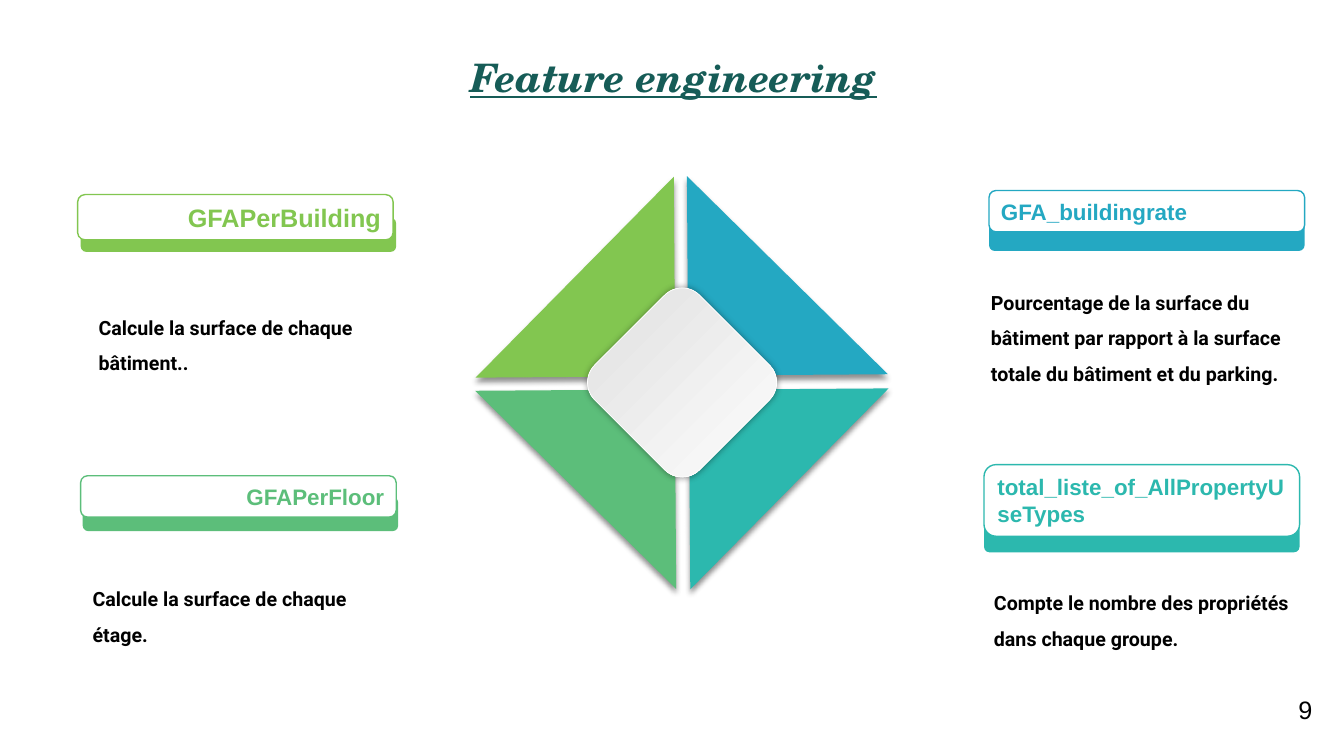
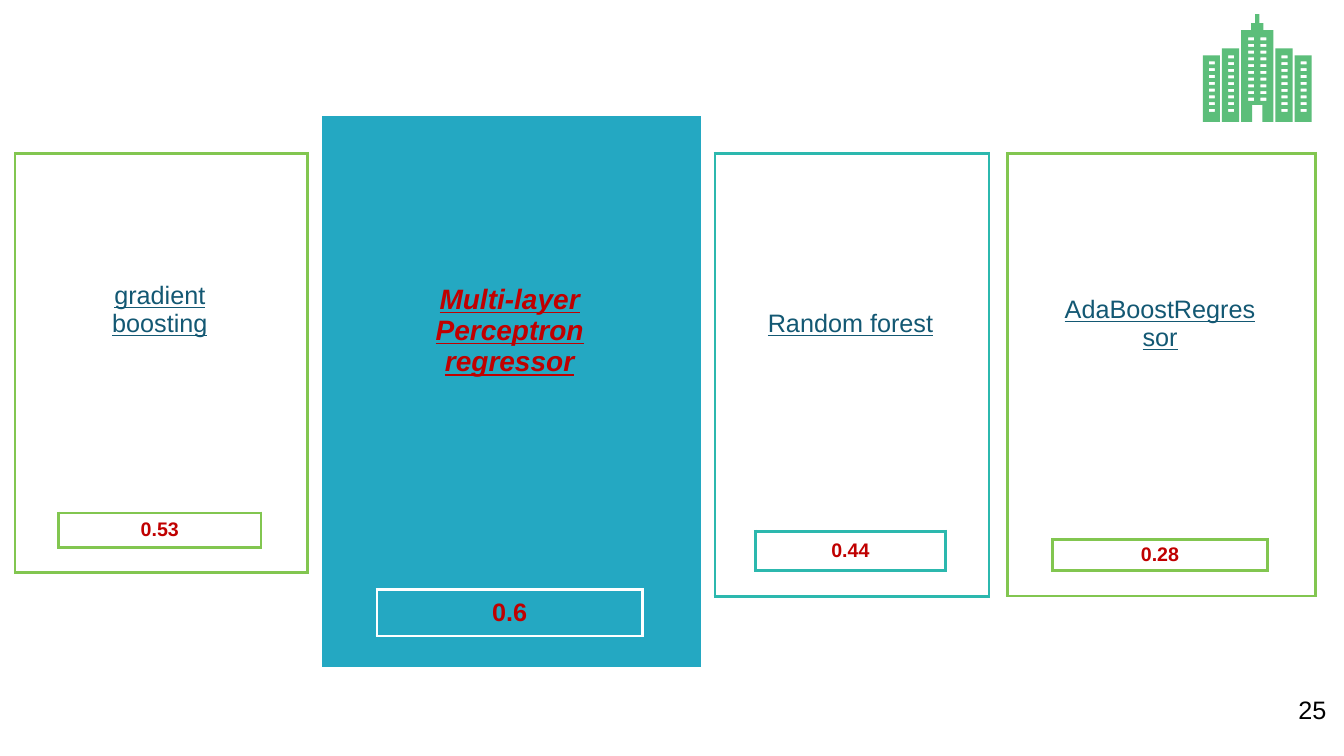
"""Build the feature engineering and model score slides."""
from dataclasses import dataclass

from lxml.etree import SubElement
from pptx import Presentation
from pptx.dml.color import RGBColor
from pptx.enum.shapes import MSO_SHAPE as SHAPE
from pptx.enum.text import MSO_ANCHOR as ANCHOR, PP_ALIGN as ALIGN
from pptx.oxml.ns import qn
from pptx.util import Inches, Pt

COLORS = {
    "title": "165C57", "teal": "2CB8AE", "blue": "24A8C2", "lime": "82C650",
    "green": "5CBE7A", "navy": "135873", "red": "C00000", "white": "FFFFFF",
    "black": "000000", "silver": "DEDEDE",
}
TITLE = {"size": Pt(28), "name": "TeX Gyre Schola", "bold": True, "italic": True, "underline": True}
LABEL = {"name": "Arial", "bold": True}
NOTE = {"size": Pt(14), "name": "Roboto", "bold": True}
PAGE = {"size": Pt(18), "name": "Arial"}
MODEL = {"size": Pt(18), "name": "Arial", "underline": True}
BEST = {"size": Pt(20), "name": "Arial", "bold": True, "italic": True, "underline": True}

CARD_W, BAR_H = 3.13, 0.34
SCORE_ROW, MID_COL = 5, 1


@dataclass
class Feature:
    name: str
    note: str
    color: str
    label: tuple[float, float, float]
    bar: tuple[float, float]
    note_at: tuple[float, float]
    note_h: float
    size: int = 16
    align: int = ALIGN.LEFT


@dataclass
class Piece:
    left: float
    top: float
    turn: float
    color: str


@dataclass
class Model:
    name: str
    score: str
    left: float
    top: float
    cols: list[float]
    rows: list[float]
    edge: str
    name_row: int = 2
    nudge: float = 0
    fill: str = "white"
    edge_pt: float = 2.25
    name_color: str = "navy"
    score_pt: int = 14
    best: bool = False


@dataclass
class Tower:
    left: float
    top: float
    window_cols: list[float]
    first: float
    last: float
    count: int


FEATURES = [
    Feature("GFAPerBuilding", "Calcule la surface de chaque bâtiment..", "lime",
            (0.77, 1.93, 0.45), (0.8, 2.16), (0.88, 2.97), 0.76, 18, ALIGN.RIGHT),
    Feature("GFAPerFloor", "Calcule la surface de chaque étage.", "green",
            (0.8, 4.72, 0.41), (0.82, 4.93), (0.82, 5.66), 0.76, 16, ALIGN.RIGHT),
    Feature("GFA_buildingrate",
            "Pourcentage de la surface du bâtiment par rapport à la surface "
            "totale du bâtiment et du parking.", "blue",
            (9.81, 1.89, 0.41), (9.81, 2.15), (9.73, 2.72), 1.47),
    Feature("total_liste_of_AllPropertyUseTypes",
            "Compte le nombre des propriétés dans chaque groupe.", "teal",
            (9.76, 4.61, 0.71), (9.76, 5.14), (9.76, 5.7), 1.12),
]
PIECES = [
    Piece(6.84, 3.86, 89.6, "teal"),
    Piece(6.82, 1.74, 359.6, "blue"),
    Piece(4.71, 1.76, 269.6, "lime"),
    Piece(4.72, 3.87, 179.6, "green"),
]
MODELS = [
    Model("gradient boosting", "0.53", 0.15, 1.52, [0.43, 2.01, 0.46],
          [0.88, 0.29, 1.05, 1.11, 0.24, 0.34, 0.25], "lime", nudge=-0.14),
    Model("Multi-layer Perceptron regressor", "0.6", 3.18, 1.14, [0.56, 2.63, 0.59],
          [1.2, 0.4, 1.06, 1.69, 0.34, 0.46, 0.32], "white", fill="blue",
          edge_pt=1.5, name_color="red", score_pt=18, best=True),
    Model("Random forest", "0.44", 7.09, 1.52, [0.4, 1.89, 0.43],
          [1.03, 0.34, 0.83, 1.29, 0.26, 0.39, 0.26], "teal", nudge=-0.09),
    Model("AdaBoostRegressor", "0.28", 9.99, 1.52, [0.45, 2.13, 0.48],
          [0.78, 1.27, 0.56, 0.97, 0.25, 0.31, 0.25], "lime", name_row=1, nudge=0.28),
]
TOWER_W, GROUND = 0.17, 1.21
WINDOW_W, WINDOW_H = 0.06, 0.03
TOWERS = [
    Tower(11.93, 0.55, [11.99], 0.61, 1.08, 8),
    Tower(12.12, 0.48, [12.18], 0.55, 1.08, 9),
    Tower(12.65, 0.48, [12.71], 0.55, 1.08, 9),
    Tower(12.84, 0.55, [12.9], 0.61, 1.08, 8),
]
MAIN_TOWER = Tower(12.31, 0.3, [12.38, 12.5], 0.37, 0.97, 10)
MAIN_OUTLINE = [
    (12.45, 0.14), (12.49, 0.14), (12.49, 0.23), (12.53, 0.23), (12.53, 0.3), (12.63, 0.3),
    (12.63, 1.21), (12.52, 1.21), (12.52, 1.04), (12.42, 1.04), (12.42, 1.21),
    (12.31, 1.21), (12.31, 0.3), (12.41, 0.3), (12.41, 0.23), (12.45, 0.23),
]


def rgb(name: str) -> RGBColor:
    """Look up a named colour."""
    return RGBColor.from_string(COLORS[name])


def write(tf, text: str, color: str, fmt: dict, align=ALIGN.LEFT, spacing: float = 1.0) -> None:
    """Fill the first paragraph of a text frame."""
    p = tf.paragraphs[0]
    p.alignment, p.line_spacing = align, spacing
    r = p.add_run()
    r.text = text
    r.font.color.rgb = rgb(color)
    for key, value in fmt.items():
        setattr(r.font, key, value)


def add_text(s, box: tuple, text: str, color: str, fmt: dict, align=ALIGN.LEFT,
             spacing: float = 1.0, anchor=ANCHOR.TOP) -> None:
    """Add a wrapping text box."""
    tf = s.shapes.add_textbox(*map(Inches, box)).text_frame
    tf.word_wrap, tf.vertical_anchor = True, anchor
    write(tf, text, color, fmt, align, spacing)


def add_block(s, kind, box: tuple, fill: str, line: str = "", width: float = 1):
    """Add a filled preset shape with an optional outline."""
    sp = s.shapes.add_shape(kind, *map(Inches, box))
    sp.shadow.inherit = False
    sp.fill.solid()
    sp.fill.fore_color.rgb = rgb(fill)
    if line:
        sp.line.color.rgb = rgb(line)
        sp.line.width = Pt(width)
    else:
        sp.line.fill.background()
    return sp


def add_shadow(sp, alpha: int, blur: float, dist: float, angle: int) -> None:
    """Give a shape an outer black shadow."""
    effects = sp.element.spPr.find(qn("a:effectLst"))
    shadow = SubElement(effects, qn("a:outerShdw"), blurRad=str(Pt(blur)), dist=str(Pt(dist)),
                        dir=str(angle * 60000), algn="ctr", rotWithShape="0")
    color = SubElement(shadow, qn("a:srgbClr"), val=COLORS["black"])
    SubElement(color, qn("a:alpha"), val=str(alpha * 1000))


def add_diamond(s) -> None:
    """Draw the four triangles and the rounded centre."""
    for piece in PIECES:
        sp = add_block(s, SHAPE.RIGHT_TRIANGLE, (piece.left, piece.top, 1.98, 1.98), piece.color)
        sp.rotation = piece.turn
        add_shadow(sp, 43, 4, 3, 90)
    sp = add_block(s, SHAPE.ROUNDED_RECTANGLE, (6.03, 3.06, 1.47, 1.47), "white", "white", 0.5)
    sp.rotation = 45
    sp.fill.gradient()
    sp.fill.gradient_angle = 0
    for stop, color in zip(sp.fill.gradient_stops, ("silver", "white")):
        stop.color.rgb = rgb(color)
    add_shadow(sp, 40, 5, 0, 0)


def add_feature(s, ft: Feature) -> None:
    """Draw a feature label, its bar and its note."""
    add_block(s, SHAPE.ROUNDED_RECTANGLE, (*ft.bar, CARD_W, BAR_H), ft.color)
    left, top, height = ft.label
    sp = add_block(s, SHAPE.ROUNDED_RECTANGLE, (left, top, CARD_W, height), "white", ft.color)
    sp.text_frame.word_wrap = True
    sp.text_frame.vertical_anchor = ANCHOR.MIDDLE
    write(sp.text_frame, ft.name, ft.color, LABEL | {"size": Pt(ft.size)}, ft.align)
    add_text(s, (*ft.note_at, CARD_W, ft.note_h), ft.note, "black", NOTE, spacing=1.5)


def set_borders(cell, row: int, col: int, m: Model) -> None:
    """Line the outside of the table and the score cell."""
    in_score_row, in_mid = row == SCORE_ROW, col == MID_COL
    sides = {
        "L": (col == 0, in_score_row and col in (MID_COL, MID_COL + 1)),
        "R": (col == len(m.cols) - 1, in_score_row and col in (MID_COL - 1, MID_COL)),
        "T": (row == 0, in_mid and row in (SCORE_ROW, SCORE_ROW + 1)),
        "B": (row == len(m.rows) - 1, in_mid and row in (SCORE_ROW - 1, SCORE_ROW)),
    }
    props = cell._tc.get_or_add_tcPr()
    for side, (outer, score) in sides.items():
        width = Pt(2.25 if score else m.edge_pt)
        ln = SubElement(props, qn(f"a:ln{side}"), w=str(width))
        if outer or score:
            SubElement(SubElement(ln, qn("a:solidFill")), qn("a:srgbClr"), val=COLORS[m.edge])
        else:
            SubElement(ln, qn("a:noFill"))


def add_model(s, m: Model) -> None:
    """Draw a model card as a table."""
    box = (m.left, m.top, sum(m.cols), sum(m.rows))
    table = s.shapes.add_table(len(m.rows), len(m.cols), *map(Inches, box)).table
    table.first_row = table.horz_banding = False
    for column, width in zip(table.columns, m.cols):
        column.width = Inches(width)
    score_fmt = {"size": Pt(m.score_pt), "name": "Arial", "bold": True}
    texts = {
        (m.name_row, MID_COL): (m.name, m.name_color, BEST if m.best else MODEL),
        (SCORE_ROW, MID_COL): (m.score, "red", score_fmt),
    }
    for row, height in enumerate(m.rows):
        table.rows[row].height = Inches(height)
        for col in range(len(m.cols)):
            cell = table.cell(row, col)
            set_borders(cell, row, col, m)
            cell.fill.solid()
            cell.fill.fore_color.rgb = rgb(m.fill)
            cell.vertical_anchor = ANCHOR.MIDDLE
            cell.margin_left = cell.margin_right = Inches(0.08)
            nudge = m.nudge if row == m.name_row else 0
            cell.margin_top = Inches(0.04 + max(0, 2 * nudge))
            cell.margin_bottom = Inches(0.04 + max(0, -2 * nudge))
            if (row, col) in texts:
                write(cell.text_frame, *texts[row, col], ALIGN.CENTER)
            else:
                SubElement(cell.text_frame.paragraphs[0]._p, qn("a:endParaRPr"), sz="600")


def rectangle(x: float, y: float, w: float, h: float) -> list[tuple[float, float]]:
    """List the corners of a rectangle."""
    return [(x, y), (x + w, y), (x + w, y + h), (x, y + h)]


def add_skyline(s) -> None:
    """Draw the city icon as one outline with window holes."""
    contours = [MAIN_OUTLINE]
    contours += [rectangle(t.left, t.top, TOWER_W, GROUND - t.top) for t in TOWERS]
    for t in [*TOWERS, MAIN_TOWER]:
        step = (t.last - t.first) / (t.count - 1)
        contours += [rectangle(x, t.first + i * step, WINDOW_W, WINDOW_H)
                     for x in t.window_cols for i in range(t.count)]
    outlines = [[(Inches(x), Inches(y)) for x, y in points] for points in contours]
    builder = s.shapes.build_freeform(*outlines[0][0])
    for points in outlines:
        if points is not outlines[0]:
            builder.move_to(*points[0])
        builder.add_line_segments(points[1:], close=True)
    sp = builder.convert_to_shape()
    sp.shadow.inherit = False
    sp.fill.solid()
    sp.fill.fore_color.rgb = rgb("green")
    sp.line.fill.background()


def add_slide(prs, number: int):
    """Add a blank slide with its page number."""
    s = prs.slides.add_slide(prs.slide_layouts[6])
    add_text(s, (12.78, 6.84, 0.76, 0.4), str(number), "black", PAGE)
    return s


def main() -> None:
    """Build and save the presentation."""
    prs = Presentation()
    prs.slide_width, prs.slide_height = Inches(13.33), Inches(7.5)
    s = add_slide(prs, 9)
    add_text(s, (0.35, 0.37, 12.66, 0.79), "Feature engineering", "title", TITLE,
             ALIGN.CENTER, anchor=ANCHOR.MIDDLE)
    add_diamond(s)
    for feature in FEATURES:
        add_feature(s, feature)
    s = add_slide(prs, 25)
    for model in MODELS:
        add_model(s, model)
    add_skyline(s)
    prs.save("out.pptx")


if __name__ == "__main__":
    main()
